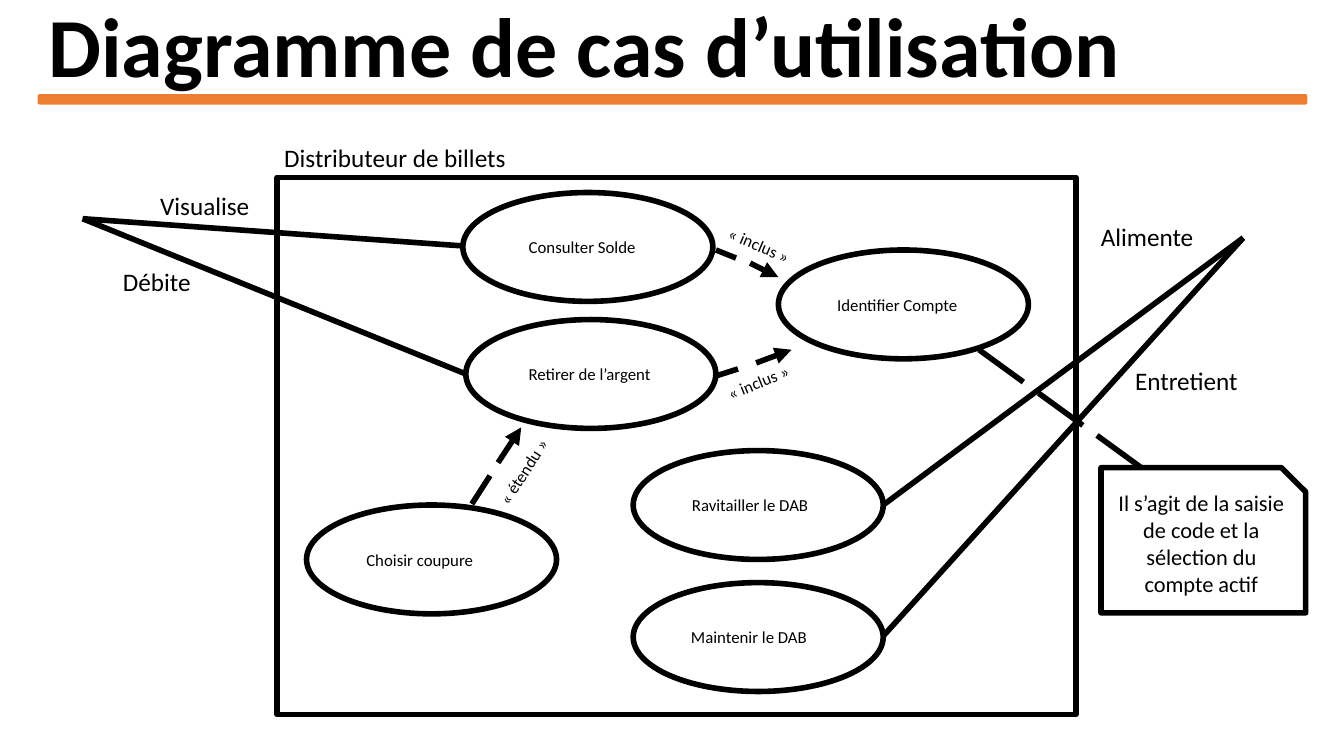
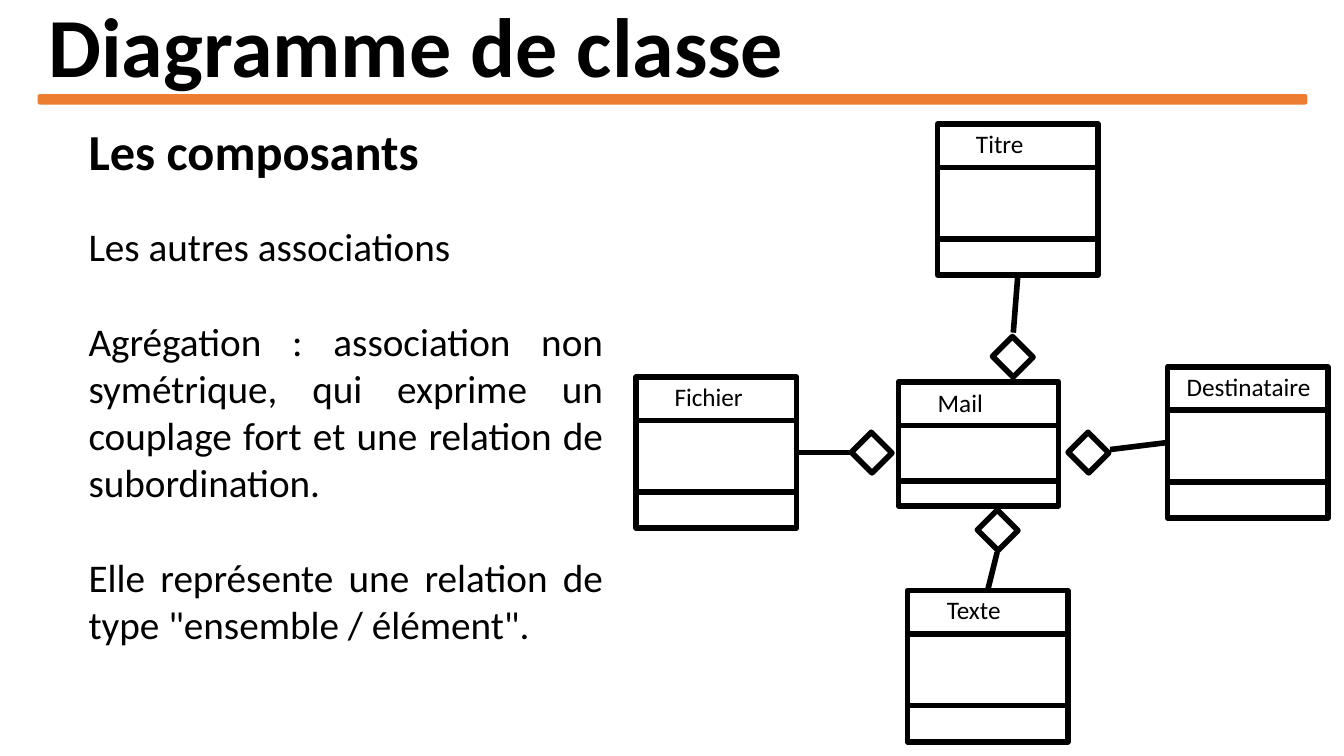
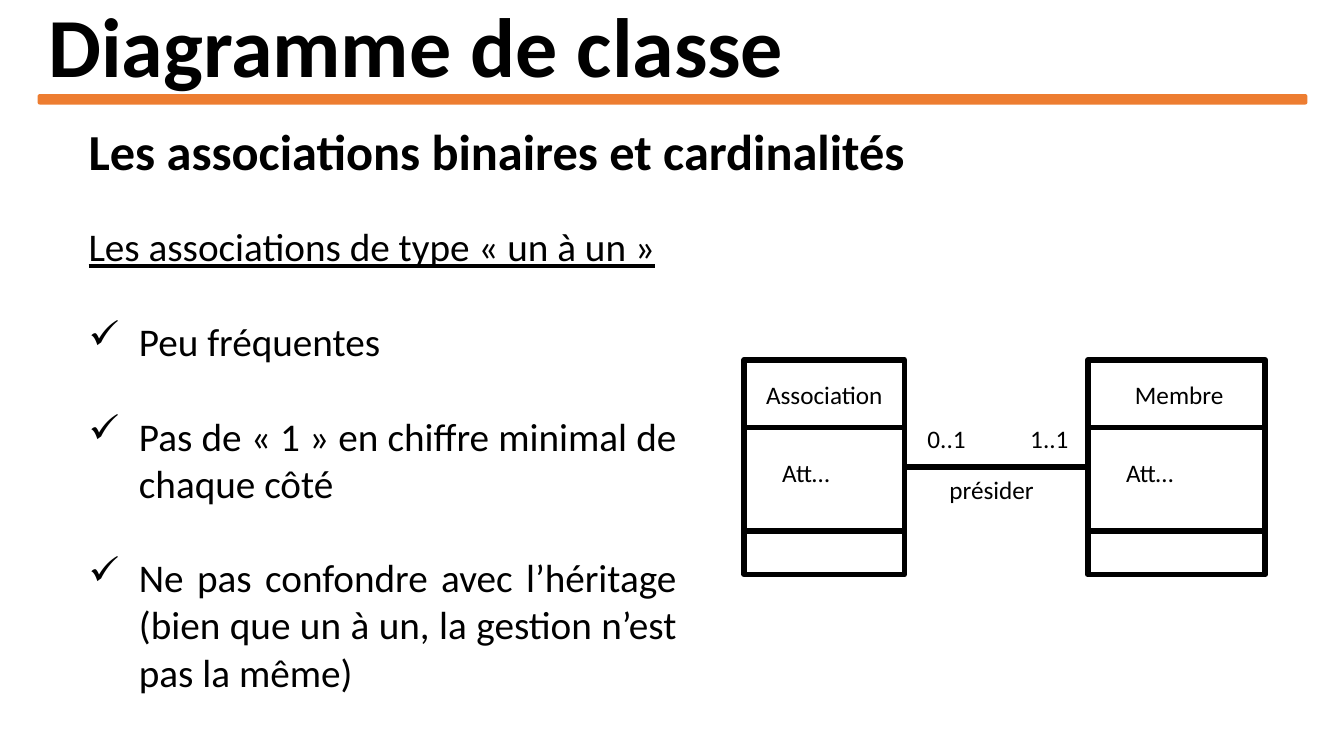
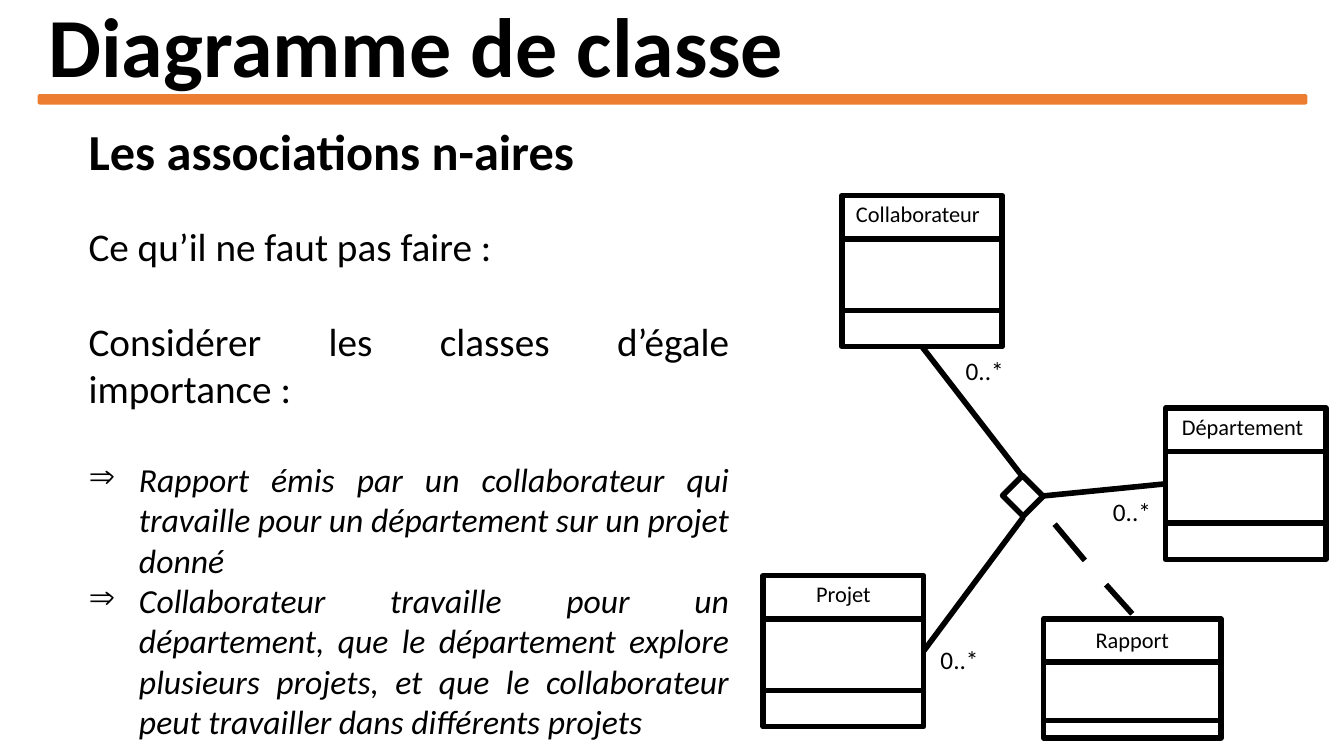
from pptx import Presentation
from pptx.dml.color import RGBColor
from pptx.enum.shapes import MSO_CONNECTOR, MSO_SHAPE
from pptx.enum.text import MSO_ANCHOR, MSO_AUTO_SIZE, PP_ALIGN
from pptx.oxml.ns import qn
from pptx.oxml.xmlchemy import OxmlElement
from pptx.util import Inches, Pt

BLACK = RGBColor(0x00, 0x00, 0x00)
WHITE = RGBColor(0xFF, 0xFF, 0xFF)
ORANGE = RGBColor(0xED, 0x7D, 0x31)
FONT = "Calibri"
STROKE = 4
BLANK_LINE = 34
TOP, LEFT, BOTTOM, RIGHT = range(4)
USE_CASE_EXTENT = (2.48, 1.08)
CLASS_EXTENT = (1.59, 1.5)
CLASS_DIVIDERS = (0.43, 1.14)


def write(frame, text, size=18, bold=False, italic=False, underline=False,
          align=PP_ALIGN.LEFT, bullet=None, gap=0):
    """Add a paragraph to a text frame, filling the first one if it is empty."""
    para = frame.paragraphs[0]
    if para.text:
        para = frame.add_paragraph()
    para.alignment = align
    if gap:
        para.space_before = Pt(gap)
    if bullet:
        properties = para._p.get_or_add_pPr()
        properties.set("marL", str(Inches(0.5)))
        properties.set("indent", str(-Inches(0.5)))
        mark = OxmlElement("a:buChar")
        mark.set("char", bullet)
        properties.append(mark)
    span = para.add_run()
    span.text = text
    font = span.font
    font.name, font.size, font.color.rgb = FONT, Pt(size), BLACK
    font.bold, font.italic, font.underline = bold, italic, underline
    return para


def set_margins(frame, left=0.1, top=0.05, right=0.1, bottom=0.05):
    frame.margin_left, frame.margin_top = Inches(left), Inches(top)
    frame.margin_right, frame.margin_bottom = Inches(right), Inches(bottom)


def add_label(page, text, x, y, width, height=0.4, rotation=0, **style):
    box = page.shapes.add_textbox(Inches(x), Inches(y), Inches(width), Inches(height))
    box.rotation = rotation
    box.text_frame.word_wrap = True
    write(box.text_frame, text, **style)


def add_outline(page, kind, x, y, width, height, fill=None, color=BLACK, stroke=STROKE):
    shape = page.shapes.add_shape(kind, Inches(x), Inches(y), Inches(width), Inches(height))
    shape.shadow.inherit = False
    if fill is None:
        shape.fill.background()
    else:
        shape.fill.solid()
        shape.fill.fore_color.rgb = fill
    shape.line.color.rgb = color
    shape.line.width = Pt(stroke)
    shape.text_frame.word_wrap = True
    return shape


def add_line(page, start, end, arrow=False, start_join=None, end_join=None):
    """Draw a line; a join is a (shape, side) pair."""
    points = [Inches(value) for value in (*start, *end)]
    line = page.shapes.add_connector(MSO_CONNECTOR.STRAIGHT, *points)
    line.line.color.rgb = BLACK
    line.line.width = Pt(STROKE)
    properties = line._element.spPr
    if arrow:
        head = OxmlElement("a:tailEnd")
        head.set("type", "triangle")
        properties.find(qn("a:ln")).append(head)
    properties.append(OxmlElement("a:effectLst"))
    if start_join:
        line.begin_connect(*start_join)
    if end_join:
        line.end_connect(*end_join)


def add_segments(page, *segments, arrow=False):
    """Draw long dashes one by one, with an arrowhead on the last if asked."""
    for start, end in segments:
        add_line(page, start, end, arrow=arrow and (start, end) == segments[-1])


def add_use_case(page, name, x, y, indent):
    oval = add_outline(page, MSO_SHAPE.OVAL, x, y, *USE_CASE_EXTENT)
    oval.text_frame.vertical_anchor = MSO_ANCHOR.MIDDLE
    set_margins(oval.text_frame, left=indent, right=0)
    write(oval.text_frame, name, size=12)


def add_class(page, name, x, y, extent=CLASS_EXTENT, dividers=CLASS_DIVIDERS,
              left=0.1, right=0.1, top=0.04, **style):
    """Draw a UML class: a named box cut by two dividers."""
    width, height = extent
    box = add_outline(page, MSO_SHAPE.RECTANGLE, x, y, width, height, fill=WHITE)
    box.text_frame.vertical_anchor = MSO_ANCHOR.TOP
    set_margins(box.text_frame, left=left, right=right, top=top)
    write(box.text_frame, name, **style)
    for offset in dividers:
        add_line(page, (x, y + offset), (x + width, y + offset))
    return box


def add_diamond(page, x, y):
    diamond = add_outline(page, MSO_SHAPE.RECTANGLE, x, y, 0.29, 0.28, fill=WHITE)
    diamond.rotation = 45


def add_body(page, width, height, paragraphs):
    box = page.shapes.add_textbox(Inches(0.78), Inches(2.16), Inches(width), Inches(height))
    box.text_frame.word_wrap = True
    for text, style in paragraphs:
        write(box.text_frame, text, align=PP_ALIGN.JUSTIFY, **{"size": 28, **style})


def add_page(deck, title, heading=None):
    page = deck.slides.add_slide(deck.slide_layouts[5])
    holder = page.shapes.title
    holder.left, holder.top = Inches(0.38), Inches(0)
    holder.width, holder.height = Inches(12.58), Inches(1)
    frame = holder.text_frame
    frame.auto_size = MSO_AUTO_SIZE.NONE
    frame.word_wrap = True
    frame.vertical_anchor = MSO_ANCHOR.MIDDLE
    write(frame, title, size=60, bold=True).line_spacing = 0.9
    add_outline(page, MSO_SHAPE.ROUNDED_RECTANGLE, 0.38, 0.94, 12.58, 0.09,
                fill=ORANGE, color=ORANGE, stroke=1)
    if heading:
        add_label(page, heading, 0.78, 1.14, 11.78, 0.71, size=36, bold=True,
                  align=PP_ALIGN.JUSTIFY)
    return page


def build_use_cases(deck):
    page = add_page(deck, "Diagramme de cas d’utilisation")
    add_outline(page, MSO_SHAPE.RECTANGLE, 2.75, 1.76, 7.92, 5.33)

    for name, x, y, indent in (
        ("Consulter Solde", 4.59, 1.91, 0.29),
        ("Retirer de l’argent", 4.62, 3.17, 0.26),
        ("Ravitailler le DAB", 6.28, 4.47, 0.22),
        ("Maintenir le DAB", 6.28, 5.78, 0.21),
        ("Identifier Compte", 7.72, 2.48, 0.22),
        ("Choisir coupure", 3.04, 5.01, 0.23),
    ):
        add_use_case(page, name, x, y, indent)

    client, operator = (0.82, 2.17), (12.33, 2.36)
    add_line(page, client, (4.59, 2.44))
    add_line(page, client, (4.62, 3.71))
    add_line(page, (8.76, 5.01), operator)
    add_line(page, (8.76, 6.31), operator)

    for text, x, y, width in (
        ("Distributeur de billets", 2.72, 1.36, 2.68),
        ("Visualise", 1.49, 1.84, 1.3),
        ("Débite", 1.12, 2.59, 1.05),
        ("Alimente", 10.82, 2.15, 1.36),
        ("Entretient", 11.16, 3.58, 1.36),
    ):
        add_label(page, text, x, y, width)

    add_segments(page, ((7.1, 2.48), (7.3, 2.56)), ((7.44, 2.61), (7.72, 2.75)), arrow=True)
    add_segments(page, ((7.1, 3.73), (7.32, 3.66)), ((7.5, 3.6), (7.85, 3.47)), arrow=True)
    add_segments(page, ((4.68, 5), (4.86, 4.72)), ((4.94, 4.59), (5.17, 4.24)), arrow=True)
    for text, x, y, rotation in (
        ("« inclus »", 6.84, 2.28, 23.2),
        ("« inclus »", 6.83, 3.64, 338.1),
        ("« étendu »", 4.5, 4.53, 303),
    ):
        add_label(page, text, x, y, 1.38, 0.3, rotation, size=12, align=PP_ALIGN.CENTER)

    note = add_outline(page, MSO_SHAPE.SNIP_1_RECTANGLE, 10.92, 4.64, 2.03, 1.44)
    note.text_frame.vertical_anchor = MSO_ANCHOR.MIDDLE
    set_margins(note.text_frame, left=0.12, right=0.04, bottom=0.11)
    write(note.text_frame, "Il s’agit de la saisie de code et la sélection du compte actif",
          size=16, align=PP_ALIGN.CENTER)
    add_segments(page, ((9.71, 3.47), (10.15, 3.79)), ((10.3, 3.9), (10.74, 4.22)),
                 ((10.88, 4.32), (11.32, 4.64)))


def build_aggregation(deck):
    page = add_page(deck, "Diagramme de classe", "Les composants")
    add_body(page, 5.3, 4.34, (
        ("Les autres associations", {}),
        ("Agrégation : association non symétrique, qui exprime un couplage fort "
         "et une relation de subordination.", {"gap": BLANK_LINE}),
        ("Elle représente une relation de type \"ensemble / élément\".", {"gap": BLANK_LINE}),
    ))
    for name, x, y, left, side, start, end in (
        ("Texte", 9, 5.86, 0.39, TOP, (9.8, 5.86), (9.89, 5.48)),
        ("Titre", 9.3, 1.23, 0.38, BOTTOM, (10.1, 2.73), (10.05, 3.3)),
        ("Fichier", 6.31, 3.74, 0.38, RIGHT, (7.9, 4.49), (8.51, 4.49)),
        ("Destinataire", 11.58, 3.64, 0.19, LEFT, (11.58, 4.39), (11.01, 4.46)),
    ):
        part = add_class(page, name, x, y, left=left)
        add_line(page, start, end, start_join=(part, side))
    add_class(page, "Mail", 8.91, 3.79, extent=(1.59, 1.23), dividers=(0.43, 0.98),
              left=0.39, top=0.05)
    for x, y in ((8.5, 4.35), (10.65, 4.35), (9.75, 5.12), (9.9, 3.4)):
        add_diamond(page, x, y)


def build_one_to_one(deck):
    page = add_page(deck, "Diagramme de classe", "Les associations binaires et cardinalités")
    check = {"bullet": "✓", "gap": BLANK_LINE}
    add_body(page, 6.03, 4.81, (
        ("Les associations de type « un à un »", {"underline": True}),
        ("Peu fréquentes", check),
        ("Pas de « 1 » en chiffre minimal de chaque côté", check),
        ("Ne pas confondre avec l’héritage (bien que un à un, la gestion n’est pas la même)",
         check),
    ))
    club, member = (
        add_class(page, name, x, 3.57, extent=(width, 2.13), dividers=(0.67, 1.7),
                  left=left, top=0.19, align=PP_ALIGN.CENTER)
        for name, x, width, left in (("Association", 7.38, 1.59, 0.1),
                                     ("Membre", 10.79, 1.76, 0.15))
    )
    add_line(page, (8.97, 4.64), (10.79, 4.64),
             start_join=(club, RIGHT), end_join=(member, LEFT))
    for text, x, y in (("Att…", 7.66, 4.49), ("Att…", 11.07, 4.49),
                       ("0..1", 9.1, 4.15), ("1..1", 10.12, 4.15)):
        add_label(page, text, x, y, 0.9)
    add_label(page, "présider", 9.04, 4.66, 1.59, align=PP_ALIGN.CENTER)


def build_n_ary(deck):
    page = add_page(deck, "Diagramme de classe", "Les associations n-aires")
    arrow = {"bullet": "⇒", "size": 24, "italic": True}
    add_body(page, 6.55, 5.28, (
        ("Ce qu’il ne faut pas faire :", {}),
        ("Considérer les classes d’égale importance :", {"gap": BLANK_LINE}),
        ("Rapport émis par un collaborateur qui travaille pour un département "
         "sur un projet donné", {**arrow, "gap": BLANK_LINE}),
        ("Collaborateur travaille pour un département, que le département explore "
         "plusieurs projets, et que le collaborateur peut travailler dans "
         "différents projets", arrow),
    ))
    name_style = {"size": 16, "align": PP_ALIGN.CENTER}
    for name, x, y, right, side, start, end in (
        ("Collaborateur", 8.35, 1.94, 0.18, BOTTOM, (9.15, 3.44), (10.15, 4.74)),
        ("Projet", 7.57, 5.71, 0.1, RIGHT, (9.17, 6.46), (10.15, 5.13)),
        ("Département", 11.56, 4.05, 0.16, LEFT, (11.56, 4.81), (10.35, 4.92)),
    ):
        part = add_class(page, name, x, y, right=right, top=0.05, **name_style)
        add_line(page, start, end, start_join=(part, side))
    add_diamond(page, 10, 4.78)
    add_class(page, "Rapport", 10.35, 6.14, extent=(1.76, 1.18), dividers=(0.43, 1.01),
              top=0.07, **name_style)
    add_segments(page, ((10.46, 5.2), (10.76, 5.56)), ((10.97, 5.8), (11.23, 6.09)))
    for x, y in ((10.94, 4.87), (9.23, 6.34), (9.48, 3.48)):
        add_label(page, "0..*", x, y, 0.67)


def main():
    deck = Presentation()
    deck.slide_width, deck.slide_height = Inches(13.33), Inches(7.5)
    build_use_cases(deck)
    build_aggregation(deck)
    build_one_to_one(deck)
    build_n_ary(deck)
    deck.save("out.pptx")


if __name__ == "__main__":
    main()
